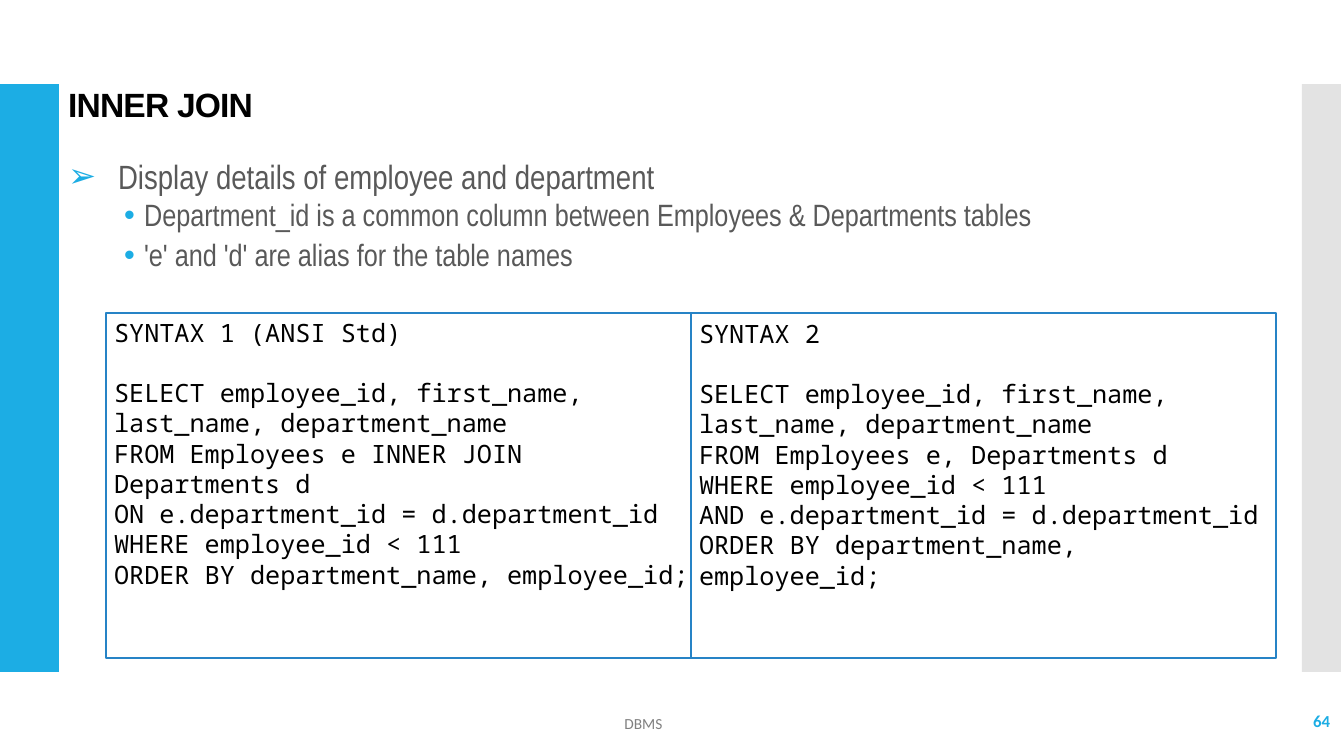
import pptx
import pptx.dml.color
import pptx.enum.shapes
import pptx.enum.text
import pptx.oxml
import pptx.oxml.ns
import pptx.util

ALIGN = pptx.enum.text.PP_ALIGN
ANCHOR = pptx.enum.text.MSO_ANCHOR
RECTANGLE = pptx.enum.shapes.MSO_SHAPE.RECTANGLE
EMU_PER_PX = 914400 / 100.8

THEME = {
    "accent": "1CADE4", "stripe": "C8C8C8", "outline": "2683C6", "paper": "FFFFFF",
    "black": "000000", "body": "595959", "footer": "808080",
    "title_size": 24, "bullet_size": 24, "sub_size": 22, "code_size": 18,
    "number_size": 12, "footer_size": 11,
}


def px(*lengths):
    """Turn pixel lengths into a list of EMU."""
    return [pptx.util.Emu(round(length * EMU_PER_PX)) for length in lengths]


def write(frame, text, font, size, color, bold=False, align=ALIGN.LEFT, line=None,
          before=0, after=0, level=0, bullet=None, margin=0, hang=0, spacing=None):
    """Add one formatted paragraph, using the empty first one if it is free."""
    paragraph = frame.paragraphs[0]
    if paragraph.runs:
        paragraph = frame.add_paragraph()
    paragraph.level = level
    paragraph.alignment = align
    paragraph.line_spacing = line
    paragraph.space_before = pptx.util.Pt(before)
    paragraph.space_after = pptx.util.Pt(after)
    if bullet:
        properties = paragraph._p.get_or_add_pPr()
        left, indent = px(margin, -hang)
        properties.set("marL", str(left))
        properties.set("indent", str(indent))
        namespace = pptx.oxml.ns.nsdecls("a")
        for xml in (f'<a:buClr {namespace}><a:srgbClr val="{THEME["accent"]}"/></a:buClr>',
                    f'<a:buFont {namespace} typeface="Arial"/>',
                    f'<a:buChar {namespace} char="{bullet}"/>'):
            properties.append(pptx.oxml.parse_xml(xml))
    run = paragraph.add_run()
    run.text = text
    run.font.name = font
    run.font.size = pptx.util.Pt(size)
    run.font.bold = bold
    run.font.color.rgb = pptx.dml.color.RGBColor.from_string(THEME[color])
    if spacing is not None:
        run._r.get_or_add_rPr().set("spc", str(spacing))


presentation = pptx.Presentation()
presentation.slide_width, presentation.slide_height = px(1344, 756)
slide = presentation.slides.add_slide(presentation.slide_layouts[1])

# Side stripes
for left, width, color in ((0, 59, "accent"), (1302, 39, "stripe")):
    stripe = slide.shapes.add_shape(RECTANGLE, *px(left, 84, width, 588))
    stripe.shadow.inherit = False
    stripe.fill.solid()
    stripe.fill.fore_color.rgb = pptx.dml.color.RGBColor.from_string(THEME[color])
    stripe.line.fill.background()
    if color == "stripe":
        tint = stripe._element.spPr.find(".//" + pptx.oxml.ns.qn("a:srgbClr"))
        tint.append(pptx.oxml.parse_xml(
            f'<a:alpha {pptx.oxml.ns.nsdecls("a")} val="50000"/>'))

# Title and bullet list
title, body = slide.shapes.title, slide.placeholders[1]
for placeholder, box, anchor in ((title, (58, 87, 1052, 40), ANCHOR.MIDDLE),
                                 (body, (58, 155, 1171, 540), ANCHOR.TOP)):
    placeholder.left, placeholder.top, placeholder.width, placeholder.height = px(*box)
    placeholder.text_frame.word_wrap = True
    placeholder.text_frame.auto_size = pptx.enum.text.MSO_AUTO_SIZE.NONE
    placeholder.text_frame.vertical_anchor = anchor

write(title.text_frame, "INNER JOIN", "Arial", THEME["title_size"], "black",
      bold=True, line=0.9, spacing=-60)
write(body.text_frame, "Display details of employee and department", "Arial Narrow",
      THEME["bullet_size"], "body", line=0.9, bullet="➢", margin=50, hang=50)
for text in ("Department_id is a common column between Employees & Departments tables",
             "'e' and 'd' are alias for the table names"):
    write(body.text_frame, text, "Arial Narrow", THEME["sub_size"], "body", line=0.9,
          before=2.5, after=2.5, level=1, bullet="•", margin=76, hang=20)

# Two syntax panels side by side
PANEL_LEFT, PANEL_WIDTH = 106, 585
COLUMNS = "SELECT employee_id, first_name, last_name, department_name"
FILTER = "WHERE employee_id < 111"
MATCH = "ON e.department_id = d.department_id"
ORDER = "ORDER BY department_name, employee_id;"
panels = (
    ("SYNTAX 1 (ANSI Std)", 0, 4,
     (COLUMNS, "FROM Employees e INNER JOIN Departments d", MATCH, FILTER, ORDER)),
    ("SYNTAX 2", 10, 5,
     (COLUMNS, "FROM Employees e, Departments d", FILTER,
      "AND e.department_id = d.department_id", ORDER)),
)
for index, (heading, right_inset, top_inset, code_lines) in enumerate(panels):
    panel = slide.shapes.add_shape(
        RECTANGLE, *px(PANEL_LEFT + index * PANEL_WIDTH, 313, PANEL_WIDTH, 345))
    panel.shadow.inherit = False
    panel.fill.solid()
    panel.fill.fore_color.rgb = pptx.dml.color.RGBColor.from_string(THEME["paper"])
    panel.line.color.rgb = pptx.dml.color.RGBColor.from_string(THEME["outline"])
    panel.line.width = pptx.util.Pt(0.85)
    frame = panel.text_frame
    frame.word_wrap = True
    frame.vertical_anchor = ANCHOR.TOP
    frame.margin_left, frame.margin_right, frame.margin_top, frame.margin_bottom = px(
        8, right_inset, top_inset, top_inset)
    write(frame, heading, "Noto Sans Mono", THEME["code_size"], "black", after=21.6)
    for code_line in code_lines:
        write(frame, code_line, "Noto Sans Mono", THEME["code_size"], "black")

# Slide number and footer
for text, box, size, color, bold, align in (
        ("64", (1172, 701, 168, 40), THEME["number_size"], "accent", True, ALIGN.RIGHT),
        ("DBMS", (318, 703, 651, 40), THEME["footer_size"], "footer", False, ALIGN.CENTER)):
    label = slide.shapes.add_textbox(*px(*box))
    label.text_frame.word_wrap = True
    label.text_frame.vertical_anchor = ANCHOR.MIDDLE
    write(label.text_frame, text, "Calibri", size, color, bold=bold, align=align)

presentation.save("out.pptx")
